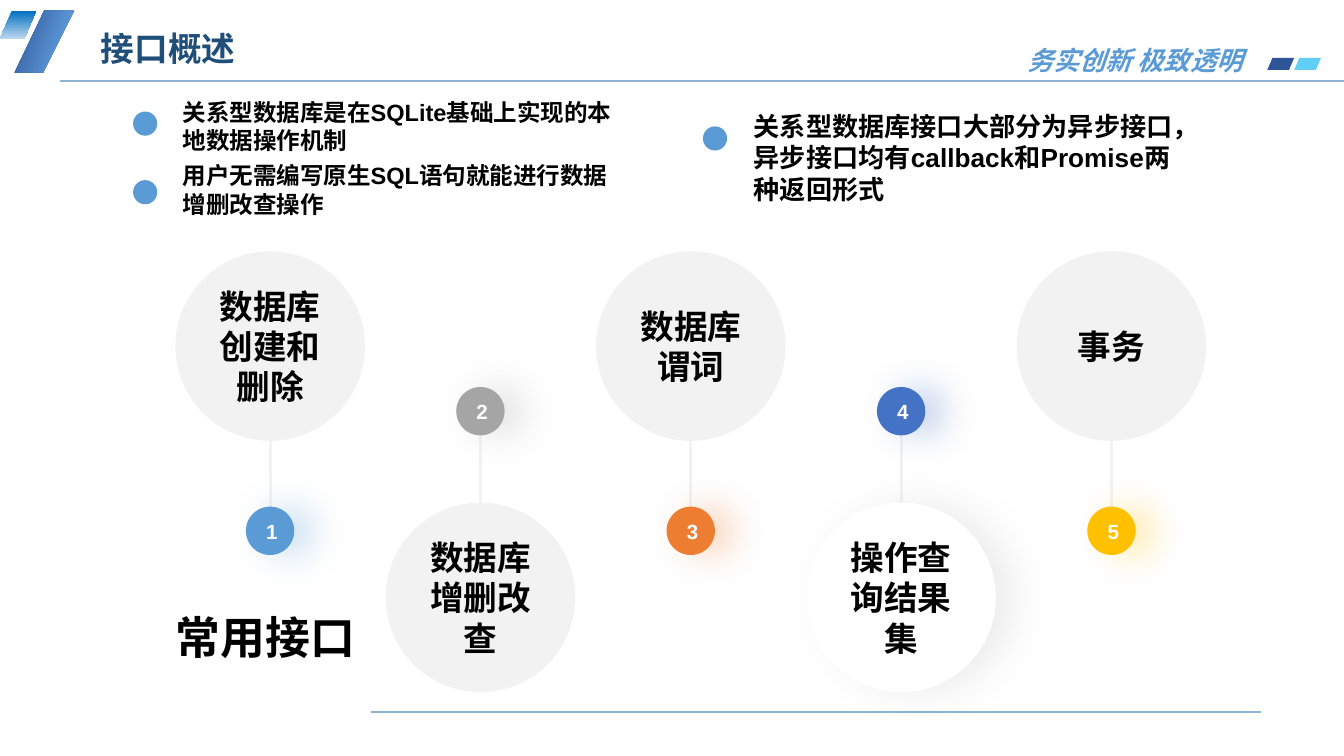
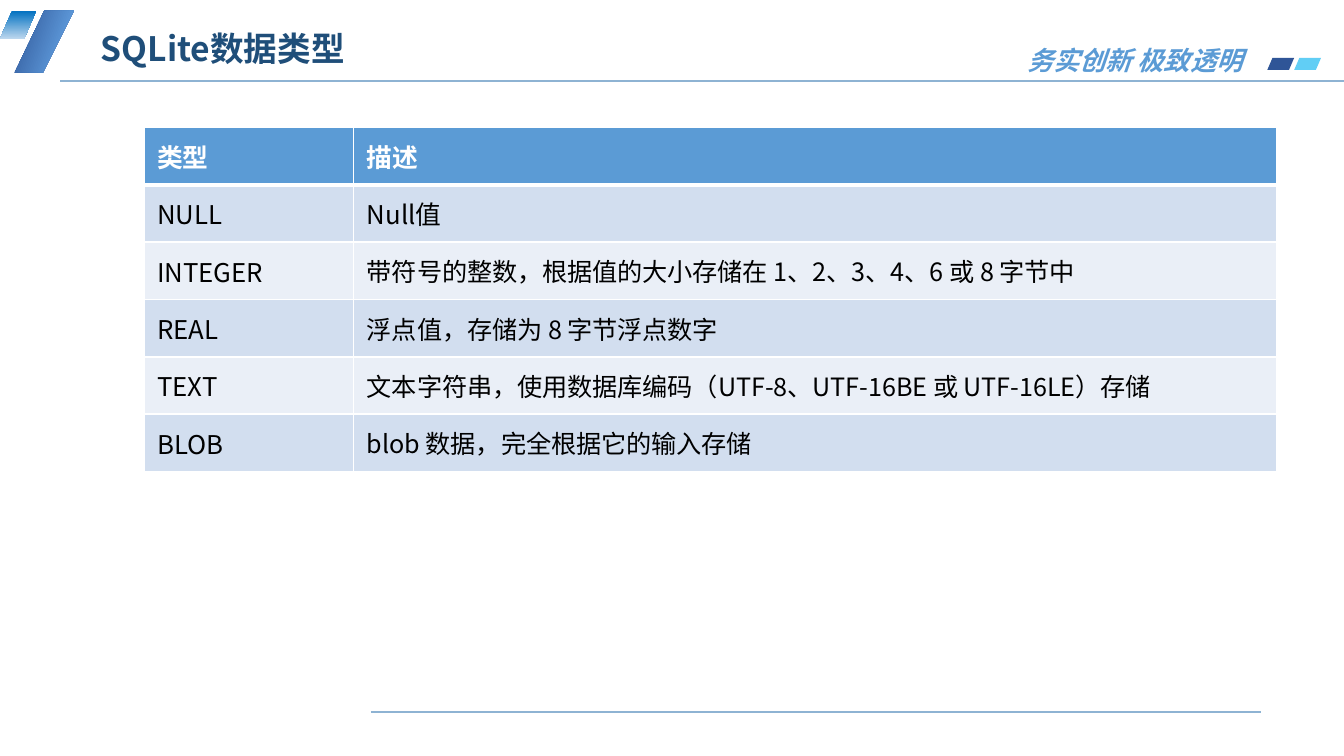
import pptx
import pptx.util
import pptx.dml.color
import pptx.enum.shapes
import pptx.enum.text
import pptx.oxml.ns
from lxml import etree

Inches, Pt = pptx.util.Inches, pptx.util.Pt
RGB = pptx.dml.color.RGBColor.from_string
qn = pptx.oxml.ns.qn
SHAPE = pptx.enum.shapes.MSO_SHAPE
ANCHOR = pptx.enum.text.MSO_ANCHOR
ALIGN = pptx.enum.text.PP_ALIGN

COLORS = {
    "white": "FFFFFF", "black": "000000", "title": "1F4E79", "blue": "5B9BD5",
    "rule": "8EB3D3", "navy": "2F5597", "sky": "6CAFEF", "cyan": "00B0F0",
    "deep": "0070C0", "pale": "BDD7EE", "bubble": "F2F2F2", "gray": "A5A5A5",
    "orange": "ED7D31", "indigo": "4472C4", "gold": "FFC000", "haze": "A6A6A6",
    "band": "D2DEEF", "light_band": "EAEFF7",
}
CJK = "Noto Sans CJK SC"
STYLES = {
    "title": {"name": CJK, "size": Pt(18), "bold": True},
    "slogan": {"name": CJK, "size": Pt(14), "bold": True, "italic": True},
    "bubble": {"name": "Arial", "size": Pt(18), "bold": True},
    "number": {"name": "Arial", "size": Pt(11), "bold": True},
    "caption": {"name": "Arial", "size": Pt(24), "bold": True},
    "point": {"name": "Arial", "size": Pt(12.6), "bold": True},
    "wide_point": {"name": "Arial", "size": Pt(14), "bold": True},
    "header": {"name": CJK, "size": Pt(13.8), "bold": True},
    "cell": {"name": CJK, "size": Pt(13.8), "bold": False},
    "long_cell": {"name": CJK, "size": Pt(13.5), "bold": False},
}


def write(frame, text, style, color, anchor=ANCHOR.MIDDLE, align=ALIGN.LEFT):
    frame.word_wrap = True
    frame.vertical_anchor = anchor
    paragraph = frame.paragraphs[0]
    paragraph.alignment = align
    run = paragraph.add_run()
    run.text = text
    for key, value in STYLES[style].items():
        setattr(run.font, key, value)
    run.font.color.rgb = RGB(COLORS[color])
    east_asian = etree.SubElement(run._r.get_or_add_rPr(), qn("a:ea"))
    east_asian.set("typeface", STYLES[style]["name"])


def draw(slide, kind, box, color, glow=None, alpha=32):
    shape = slide.shapes.add_shape(kind, *map(Inches, box))
    shape.fill.solid()
    shape.fill.fore_color.rgb = RGB(COLORS[color])
    shape.line.fill.background()
    shape.shadow.inherit = False
    if kind == SHAPE.PARALLELOGRAM:
        shape.adjustments[0] = 0.43
    if glow:
        effects = shape._element.spPr.find(qn("a:effectLst"))
        shadow = etree.SubElement(effects, qn("a:outerShdw"), blurRad=str(Pt(20)),
                                  dist=str(Pt(10)), dir="0", algn="l", rotWithShape="0")
        tint = etree.SubElement(shadow, qn("a:srgbClr"), val=COLORS[glow])
        etree.SubElement(tint, qn("a:alpha"), val=str(alpha * 1000))
    return shape


prs = pptx.Presentation()
prs.slide_width, prs.slide_height = Inches(10), Inches(10 * 9 / 16)

BUBBLE, DOT = 1.41, 0.36
FIRST_X, LAST_X = 2.01, 8.27
steps = [
    ("数据库创建和删除", "blue"), ("数据库增删改查", "gray"), ("数据库谓词", "orange"),
    ("操作查询结果集", "indigo"), ("事务", "gold"),
]
pitch = (LAST_X - FIRST_X) / (len(steps) - 1)
centers = [FIRST_X + i * pitch for i in range(len(steps))]
stem_spans = [(3.28, 3.77), (2.88, 5.15)]
stems = [(x, stem_spans[i % 2][0], x, stem_spans[i % 2][1], "bubble", 1.5)
         for i, x in enumerate(centers)]
frame_rules = [(0.45, 0.6, 10, 0.6, "rule", 1), (2.76, 5.3, 9.38, 5.3, "rule", 1)]

slides = []
for heading, extra_rules in [("接口概述", stems), ("SQLite数据类型", [])]:
    slide = prs.slides.add_slide(prs.slide_layouts[5])
    slides.append(slide)
    title = slide.shapes.title
    title.left, title.top, title.width, title.height = map(Inches, (0.65, 0.18, 3.51, 0.4))
    write(title.text_frame, heading, "title", "title")
    title.text_frame.paragraphs[0].line_spacing = 0.9

    for x1, y1, x2, y2, color, weight in frame_rules + extra_rules:
        rule = slide.shapes.add_connector(
            pptx.enum.shapes.MSO_CONNECTOR.STRAIGHT, *map(Inches, (x1, y1, x2, y2)))
        rule.line.color.rgb = RGB(COLORS[color])
        rule.line.width = Pt(weight)
        etree.SubElement(rule._element.spPr, qn("a:effectLst"))

    draw(slide, SHAPE.PARALLELOGRAM, (9.43, 0.43, 0.2, 0.09), "navy")
    cyan_tab = draw(slide, SHAPE.PARALLELOGRAM, (9.63, 0.43, 0.2, 0.09), "cyan")
    cyan_color = cyan_tab._element.spPr.find(qn("a:solidFill"))[0]
    etree.SubElement(cyan_color, qn("a:alpha"), val="62000")

    builder = slide.shapes.build_freeform(Inches(0.11), Inches(0.54))
    builder.add_line_segments(
        [(Inches(x), Inches(y)) for x, y in [(0.33, 0.08), (0.55, 0.08), (0.32, 0.54)]])
    stripe = builder.convert_to_shape()
    stripe.line.fill.background()
    stripe.shadow.inherit = False
    corner = draw(slide, SHAPE.PARALLELOGRAM, (0, 0.08, 0.27, 0.21), "deep")
    for part, angle, ends in [(stripe, 340, ("navy", "sky")), (corner, 270, ("deep", "pale"))]:
        part.fill.gradient()
        part.fill.gradient_angle = angle
        for position, (stop, color) in enumerate(zip(part.fill.gradient_stops, ends)):
            stop.position = position
            stop.color.rgb = RGB(COLORS[color])

    slogan = slide.shapes.add_textbox(*map(Inches, (7.53, 0.28, 1.83, 0.34))).text_frame
    write(slogan, "务实创新 极致透明", "slogan", "blue", ANCHOR.TOP, ALIGN.CENTER)
    slogan.word_wrap = False

overview, types = slides

for i, (x, (label, color)) in enumerate(zip(centers, steps)):
    bubble_top, dot_top = [(1.87, 3.77), (3.74, 2.88)][i % 2]
    raised = i == 3
    bubble = draw(overview, SHAPE.OVAL, (x - BUBBLE / 2, bubble_top, BUBBLE, BUBBLE),
                  "white" if raised else "bubble", "haze" if raised else None, 20)
    write(bubble.text_frame, label, "bubble", "black", align=ALIGN.CENTER)
    dot = draw(overview, SHAPE.OVAL, (x - DOT / 2, dot_top, DOT, DOT), color, color)
    write(dot.text_frame, str(i + 1), "number", "white", align=ALIGN.CENTER)

caption = overview.shapes.add_textbox(*map(Inches, (1.08, 4.53, 1.79, 0.46)))
write(caption.text_frame, "常用接口", "caption", "black", ANCHOR.BOTTOM, ALIGN.CENTER)

points = [
    ((0.99, 0.83), (1.26, 0.73, 3.51, 0.47), "point",
     "关系型数据库是在SQLite基础上实现的本地数据操作机制"),
    ((0.99, 1.34), (1.26, 1.2, 3.47, 0.47), "point",
     "用户无需编写原生SQL语句就能进行数据增删改查操作"),
    ((5.23, 0.94), (5.51, 0.73, 3.47, 0.84), "wide_point",
     "关系型数据库接口大部分为异步接口，异步接口均有callback和Promise两种返回形式"),
]
for marker, box, style, text in points:
    draw(overview, SHAPE.OVAL, (*marker, 0.18, 0.18), "blue")
    point = overview.shapes.add_textbox(*map(Inches, box))
    write(point.text_frame, text, style, "black", ANCHOR.BOTTOM)

type_rows = [
    ("类型", "描述"),
    ("NULL", "Null值"),
    ("INTEGER", "带符号的整数，根据值的大小存储在 1、2、3、4、6 或 8 字节中"),
    ("REAL", "浮点值，存储为 8 字节浮点数字"),
    ("TEXT", "文本字符串，使用数据库编码（UTF-8、UTF-16BE 或 UTF-16LE）存储"),
    ("BLOB", "blob 数据，完全根据它的输入存储"),
]
type_table = types.shapes.add_table(
    len(type_rows), 2, *map(Inches, (1.07, 0.95, 8.43, 2.56))).table
for column, width in zip(type_table.columns, (1.56, 6.87)):
    column.width = Inches(width)
for r, row in enumerate(type_rows):
    for c, text in enumerate(row):
        cell = type_table.cell(r, c)
        borders = {"a:lnL": 1, "a:lnR": 1, "a:lnT": 3 if r == 1 else 1, "a:lnB": 3 if r == 0 else 1}
        for side, weight in borders.items():
            edge = etree.SubElement(cell._tc.get_or_add_tcPr(), qn(side), w=str(Pt(weight)))
            edge_fill = etree.SubElement(edge, qn("a:solidFill"))
            etree.SubElement(edge_fill, qn("a:srgbClr"), val=COLORS["white"])
        cell.fill.solid()
        fill = "blue" if r == 0 else "band" if r % 2 else "light_band"
        cell.fill.fore_color.rgb = RGB(COLORS[fill])
        cell.vertical_anchor = ANCHOR.MIDDLE
        style = "header" if r == 0 else "long_cell" if r > 1 and c == 1 else "cell"
        write(cell.text_frame, text, style, "white" if r == 0 else "black")

prs.save("out.pptx")
